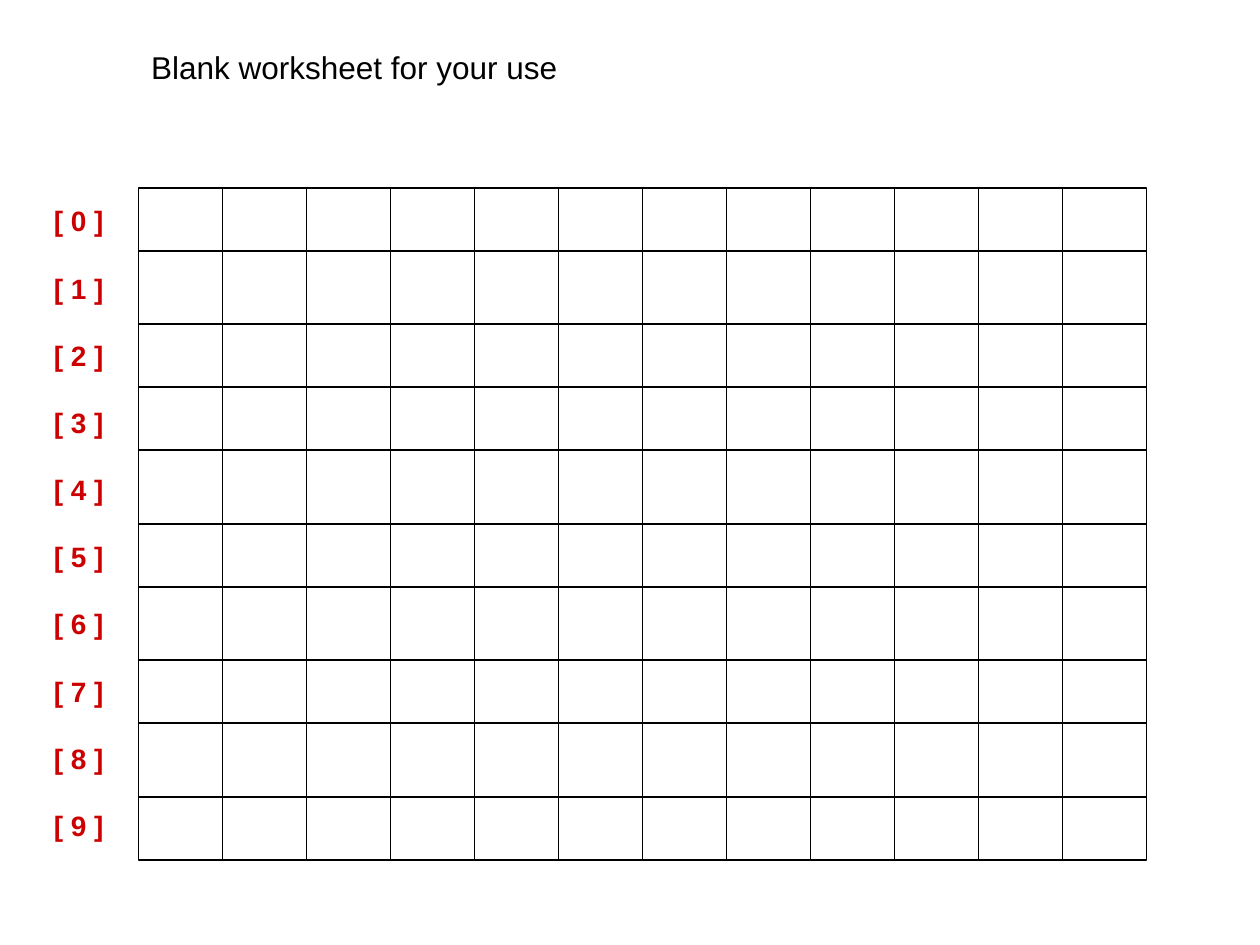
from itertools import accumulate

from lxml import etree
from pptx import Presentation
from pptx import util as u
from pptx.dml.color import RGBColor
from pptx.enum import shapes, text
from pptx.oxml.ns import qn

COLORS = {"ink": "000000", "label": "CC0000"}
FONT = "Arial"
WIDTH, HEIGHT = u.Inches(10), u.Inches(7.5)

UNIT = u.Inches(1) / 12  # grid module: twelfths of an inch
COLUMNS, COLUMN_UNITS = 12, 8
ROW_UNITS = [6, 7, 6, 6, 7, 6, 7, 6, 7, 6]
LABEL_LINE = u.Pt(19.2)


def color(name):
    return RGBColor.from_string(COLORS[name])


def add_span(para, words, size, color_name, bold=False):
    span = para.add_run()
    span.text = words
    span.font.name = FONT
    span.font.size = u.Pt(size)
    span.font.bold = bold
    span.font.color.rgb = color(color_name)


def outline(shape):
    shape.line.color.rgb = color("ink")
    shape.line.width = u.Pt(1)


def set_frame(frame, wrap):
    frame.word_wrap = wrap
    frame.auto_size = text.MSO_AUTO_SIZE.SHAPE_TO_FIT_TEXT
    frame.vertical_anchor = text.MSO_ANCHOR.TOP


def place_title(page, left, top, width, height):
    title = page.shapes.title
    title.left, title.top, title.width, title.height = left, top, width, height
    set_frame(title.text_frame, True)
    para = title.text_frame.paragraphs[0]
    para.alignment = text.PP_ALIGN.LEFT
    add_span(para, "Blank worksheet for your use", 18, "ink")


def place_column(page, left, top, width):
    """One worksheet column: a frame and the rules between its rows."""
    column = page.shapes.add_group_shape().shapes
    *rules, depth = accumulate(ROW_UNITS)
    frame = column.add_shape(shapes.MSO_SHAPE.RECTANGLE,
                             left, top, width, round(depth * UNIT))
    frame.shadow.inherit = False
    frame.fill.background()
    outline(frame)
    for offset in rules:
        y = top + round(offset * UNIT)
        rule = column.add_connector(shapes.MSO_CONNECTOR.STRAIGHT,
                                    left, y, left + width, y)
        outline(rule)
        etree.SubElement(rule._element.spPr, qn("a:effectLst"))


def place_grid(page, left, top):
    width = round(COLUMN_UNITS * UNIT)
    for index in range(COLUMNS):
        place_column(page, left + index * width, top, width)


def place_row_labels(page, left, top, width, height):
    box = page.shapes.add_textbox(left, top, width, height)
    set_frame(box.text_frame, False)
    for row in range(len(ROW_UNITS)):
        para = box.text_frame.add_paragraph() if row else box.text_frame.paragraphs[0]
        para.line_spacing = LABEL_LINE
        if row:
            para.space_before = LABEL_LINE
        add_span(para, f"[ {row} ]", 16, "label", bold=True)


def main():
    deck = Presentation()
    deck.slide_width, deck.slide_height = WIDTH, HEIGHT
    page = deck.slides.add_slide(deck.slide_layouts.get_by_name("Title Only"))

    # Worksheet grid with its row numbers
    grid_left = round(0.11 * WIDTH)
    place_grid(page, grid_left, u.Inches(1.49))
    place_row_labels(page, u.Inches(0.33), u.Inches(1.57),
                     round(0.06 * WIDTH), u.Inches(5.17))

    # Heading, aligned with the grid
    place_title(page, grid_left, u.Inches(0.33), round(0.8 * WIDTH), u.Inches(0.4))

    deck.save("out.pptx")


if __name__ == "__main__":
    main()
